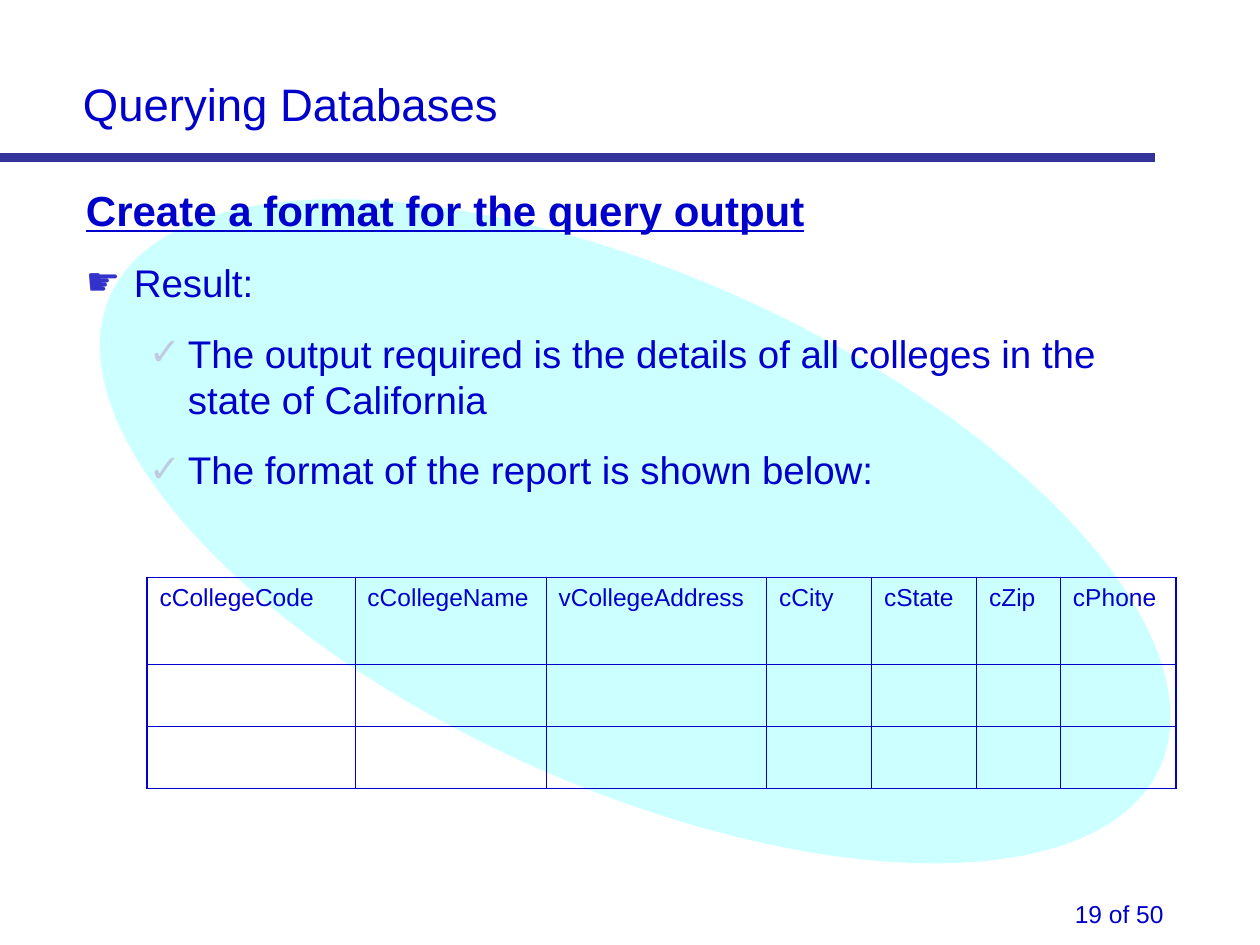
from dataclasses import dataclass

from lxml.etree import SubElement
from pptx import Presentation
from pptx.dml.color import RGBColor
from pptx.enum.shapes import MSO_CONNECTOR, MSO_SHAPE
from pptx.enum.text import MSO_ANCHOR, MSO_AUTO_SIZE, PP_ALIGN
from pptx.oxml.ns import qn
from pptx.util import Emu, Inches, Pt


@dataclass(frozen=True)
class Theme:
    font: str = "Arial"
    text: str = "0000CC"
    rule: str = "333399"
    ellipse: str = "CCFFFF"
    hand: str = "3333CC"
    check: str = "BFCBE2"
    title_size: float = 26
    heading_size: float = 24
    body_size: float = 22
    small_size: float = 14
    rule_width: float = 5
    outer_border: float = 1.08
    inner_border: float = 0.45


THEME = Theme()
COLUMNS, ROWS = 120, 90  # grid units across and down the slide


def write(paragraph, text, size, color=THEME.text, bold=False, underline=False,
          align=PP_ALIGN.LEFT, before=0, indent=None, bullet=None, bullet_color=None):
    """Fill one paragraph; indent is (left margin, first line) in inches."""
    paragraph.alignment = align
    paragraph.space_before = Pt(before)
    run = paragraph.add_run()
    run.text = text
    font = run.font
    font.name, font.size = THEME.font, Pt(size)
    font.bold, font.underline = bold, underline
    font.color.rgb = RGBColor.from_string(color)
    properties = paragraph._p.get_or_add_pPr()
    if indent:
        margin, first_line = indent
        properties.set("marL", str(Inches(margin)))
        properties.set("indent", str(Inches(first_line)))
    if bullet:
        SubElement(SubElement(properties, qn("a:buClr")), qn("a:srgbClr"), val=bullet_color)
        SubElement(properties, qn("a:buFont"), typeface=THEME.font)
        SubElement(properties, qn("a:buChar"), char=bullet)


class SlideBuilder:
    def __init__(self, presentation, theme):
        self.theme = theme
        self.unit_x = presentation.slide_width / COLUMNS
        self.unit_y = presentation.slide_height / ROWS
        self.slide = presentation.slides.add_slide(presentation.slide_layouts[5])

    def box(self, left, top, width, height):
        return (Emu(round(left * self.unit_x)), Emu(round(top * self.unit_y)),
                Emu(round(width * self.unit_x)), Emu(round(height * self.unit_y)))

    def ellipse(self, *area, rotation):
        shape = self.slide.shapes.add_shape(MSO_SHAPE.OVAL, *self.box(*area))
        shape.rotation = rotation
        shape.shadow.inherit = False
        shape.fill.solid()
        shape.fill.fore_color.rgb = RGBColor.from_string(self.theme.ellipse)
        shape.line.fill.background()

    def rule(self, row, width):
        left, top, right, _ = self.box(0, row, width, 0)
        line = self.slide.shapes.add_connector(MSO_CONNECTOR.STRAIGHT, left, top, right, top)
        line.line.color.rgb = RGBColor.from_string(self.theme.rule)
        line.line.width = Pt(self.theme.rule_width)
        SubElement(line._element.spPr, qn("a:effectLst"))

    def title(self, text, *area):
        title = self.slide.shapes.title
        title.left, title.top, title.width, title.height = self.box(*area)
        title.text_frame.vertical_anchor = MSO_ANCHOR.TOP
        title.text_frame.auto_size = MSO_AUTO_SIZE.NONE
        write(title.text_frame.paragraphs[0], text, self.theme.title_size)

    def text(self, paragraphs, *area):
        frame = self.slide.shapes.add_textbox(*self.box(*area)).text_frame
        frame.word_wrap = True
        for index, (text, style) in enumerate(paragraphs):
            paragraph = frame.add_paragraph() if index else frame.paragraphs[0]
            write(paragraph, text, **style)

    def table(self, headers, widths, heights, left, top):
        area = self.box(left, top, sum(widths), sum(heights))
        table = self.slide.shapes.add_table(len(heights), len(widths), *area).table
        table.first_row = table.horz_banding = False
        for column, width in zip(table.columns, widths):
            column.width = Emu(round(width * self.unit_x))
        for row, height in zip(table.rows, heights):
            row.height = Emu(round(height * self.unit_y))
        last_row, last_column = len(heights) - 1, len(widths) - 1
        for row in range(len(heights)):
            for column in range(len(widths)):
                cell = table.cell(row, column)
                self.borders(cell, L=column == 0, R=column == last_column,
                             T=row == 0, B=row == last_row)
                cell.fill.background()
        for column, header in enumerate(headers):
            write(table.cell(0, column).text_frame.paragraphs[0], header,
                  self.theme.small_size)

    def borders(self, cell, **outer_sides):
        properties = cell._tc.get_or_add_tcPr()
        for side, outer in outer_sides.items():
            width = self.theme.outer_border if outer else self.theme.inner_border
            line = SubElement(properties, qn(f"a:ln{side}"), w=str(Pt(width)))
            fill = SubElement(line, qn("a:solidFill"))
            SubElement(fill, qn("a:srgbClr"), val=self.theme.text)


def main():
    presentation = Presentation()
    presentation.slide_width, presentation.slide_height = Inches(10), Inches(7.5)
    builder = SlideBuilder(presentation, THEME)

    # Background ellipse, page number, title and rule
    builder.ellipse(36.1, -4.2, 48.8, 109.6, rotation=294.2)
    page_style = dict(size=THEME.small_size, align=PP_ALIGN.RIGHT)
    builder.text([("19 of 50", page_style)], 42, 85, 70, 4)
    builder.rule(15, 110)
    builder.title("Querying Databases", 6.7, 6.6, 70, 6.5)

    # Heading and bullets
    heading = dict(size=THEME.heading_size, bold=True, underline=True)
    item = dict(size=THEME.body_size, before=13.8, indent=(0.38, -0.38),
                bullet="☛", bullet_color=THEME.hand)
    detail = dict(item, indent=(0.81, -0.31), bullet="✓", bullet_color=THEME.check)
    builder.text([
        ("Create a format for the query output", heading),
        ("Result:", item),
        ("The output required is the details of all colleges in the state of California", detail),
        ("The format of the report is shown below:", detail),
    ], 7, 17, 106, 64)

    # Report format
    headers = ["cCollegeCode", "cCollegeName", "vCollegeAddress",
               "cCity", "cState", "cZip", "cPhone"]
    builder.table(headers, widths=[19.8, 18.2, 21, 10, 10, 8, 11],
                  heights=[8.3, 5.9, 5.9], left=14, top=55)

    presentation.save("out.pptx")


if __name__ == "__main__":
    main()
